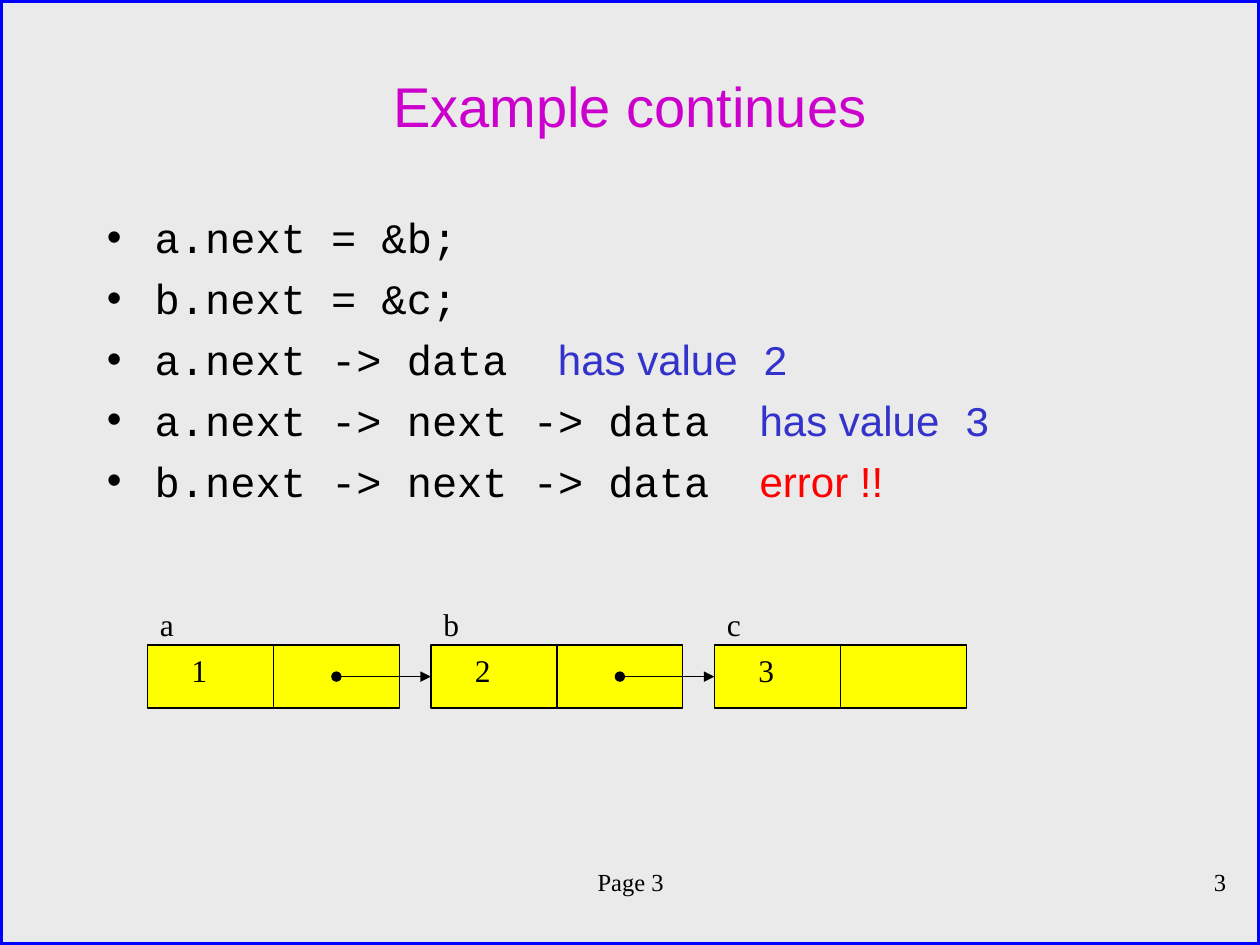
from lxml import etree
from pptx import Presentation
from pptx.dml.color import RGBColor
from pptx.enum.shapes import MSO_CONNECTOR, MSO_SHAPE
from pptx.enum.text import MSO_ANCHOR, PP_ALIGN
from pptx.oxml.ns import qn
from pptx.util import Inches, Pt

COLORS = {
    "paper": "EAEAEA", "frame": "0000FF", "title": "CC00CC", "ink": "000000",
    "value": "3333CC", "error": "FF0000", "node": "FFFF00",
}
SANS, MONO, SERIF = "Arial", "Courier New", "Times New Roman"

# Each statement is a list of (text, font, color) parts
STATEMENTS = [
    [("a.next = &b;", MONO, "ink")],
    [("b.next = &c;", MONO, "ink")],
    [("a.next -> data  ", MONO, "ink"), ("has value", SANS, "value"), (" 2", MONO, "value")],
    [("a.next -> next -> data  ", MONO, "ink"), ("has value", SANS, "value"), (" 3", MONO, "value")],
    [("b.next -> next -> data  ", MONO, "ink"), ("error !!", SANS, "error")],
]
NODES = [("a", "1"), ("b", "2"), ("c", "3")]


def rgb(name):
    return RGBColor.from_string(COLORS[name])


def style(font, face, size, color):
    font.name, font.size = face, Pt(size)
    font.color.rgb = rgb(color)


def add_box(slide, left, top, width, height, fill, line, weight):
    box = slide.shapes.add_shape(MSO_SHAPE.RECTANGLE, left, top, width, height)
    box.shadow.inherit = False
    box.fill.solid()
    box.fill.fore_color.rgb = rgb(fill)
    box.line.color.rgb = rgb(line)
    box.line.width = Pt(weight)
    return box


def add_label(slide, left, top, width, height, text, size, align=PP_ALIGN.LEFT):
    frame = slide.shapes.add_textbox(left, top, width, height).text_frame
    frame.word_wrap = True
    frame.text = text
    frame.paragraphs[0].alignment = align
    style(frame.paragraphs[0].runs[0].font, SERIF, size, "ink")


def add_line(slide, x1, y1, x2, y2):
    line = slide.shapes.add_connector(MSO_CONNECTOR.STRAIGHT, x1, y1, x2, y2)
    line.line.color.rgb = rgb("ink")
    line.line.width = Pt(0.75)
    etree.SubElement(line._element.spPr, qn("a:effectLst"))
    return line


def add_frame(slide, width, height):
    slide.background.fill.solid()
    slide.background.fill.fore_color.rgb = rgb("paper")
    frame = add_box(slide, 0, 0, width, height, "paper", "frame", 3)
    slide.shapes._spTree.insert(2, frame._element)  # behind the title


def set_title(slide, left, top, width, height):
    title = slide.shapes.title
    title.left, title.top, title.width, title.height = left, top, width, height
    title.text_frame.text = "Example continues"
    title.text_frame.vertical_anchor = MSO_ANCHOR.MIDDLE
    heading = title.text_frame.paragraphs[0]
    heading.alignment = PP_ALIGN.CENTER
    style(heading.runs[0].font, SANS, 32, "title")


def add_bullet(paragraph):
    props = paragraph._p.get_or_add_pPr()
    props.set("marL", str(Inches(0.38)))
    props.set("indent", str(-Inches(0.38)))
    color = etree.SubElement(props, qn("a:buClr"))
    etree.SubElement(color, qn("a:srgbClr"), val=COLORS["ink"])
    etree.SubElement(props, qn("a:buFont"), typeface=SANS)
    etree.SubElement(props, qn("a:buChar"), char="•")


def add_statements(slide, left, top, width, height):
    frame = slide.shapes.add_textbox(left, top, width, height).text_frame
    frame.word_wrap = True
    for index, parts in enumerate(STATEMENTS):
        statement = frame.add_paragraph() if index else frame.paragraphs[0]
        add_bullet(statement)
        statement.space_before = Pt(6 if index else 0)
        for text, face, color in parts:
            run = statement.add_run()
            run.text = text
            style(run.font, face, 24, color)


def add_node(slide, left, top, width, height, name, value):
    box = add_box(slide, left, top, width, height, "node", "ink", 0.75)
    middle = left + width // 2
    divider = add_line(slide, middle, top, middle, top + height)
    divider.begin_connect(box, 0)
    divider.end_connect(box, 2)
    label_height = Inches(0.37)
    add_label(slide, left, top - label_height, Inches(0.5), label_height, name, 18)
    add_label(slide, left + width // 8, top, Inches(0.5), label_height, value, 18)
    return box


def add_pointer(slide, source, target):
    y = source.top + source.height // 2
    pointer = add_line(slide, source.left + source.width * 3 // 4, y, target.left, y)
    pointer.end_connect(target, 1)
    ends = pointer.line._get_or_add_ln()
    etree.SubElement(ends, qn("a:headEnd"), type="oval")
    etree.SubElement(ends, qn("a:tailEnd"), type="triangle")


def add_linked_list(slide, left, top, width, height):
    node_width = Inches(2)
    step = (width - node_width) // (len(NODES) - 1)
    boxes = [add_node(slide, left + i * step, top, node_width, height, name, value)
             for i, (name, value) in enumerate(NODES)]
    for source, target in zip(boxes, boxes[1:]):
        add_pointer(slide, source, target)


def add_footer(slide, top, height):
    add_label(slide, Inches(0.67), top, Inches(8.67), height, "Page 3", 14, PP_ALIGN.CENTER)
    add_label(slide, Inches(7.75), top, Inches(2.08), height, "3", 14, PP_ALIGN.RIGHT)


def main():
    deck = Presentation()
    deck.slide_width, deck.slide_height = Inches(10), Inches(7.5)
    slide = deck.slides.add_slide(deck.slide_layouts[5])
    add_frame(slide, deck.slide_width, deck.slide_height)
    set_title(slide, Inches(0.75), Inches(0.42), Inches(8.5), Inches(0.83))
    add_statements(slide, Inches(0.75), Inches(1.63), Inches(8.5), Inches(5.37))
    add_linked_list(slide, Inches(1.17), Inches(5.12), Inches(6.5), Inches(0.5))
    add_footer(slide, Inches(6.83), Inches(0.5))
    deck.save("out.pptx")


if __name__ == "__main__":
    main()
